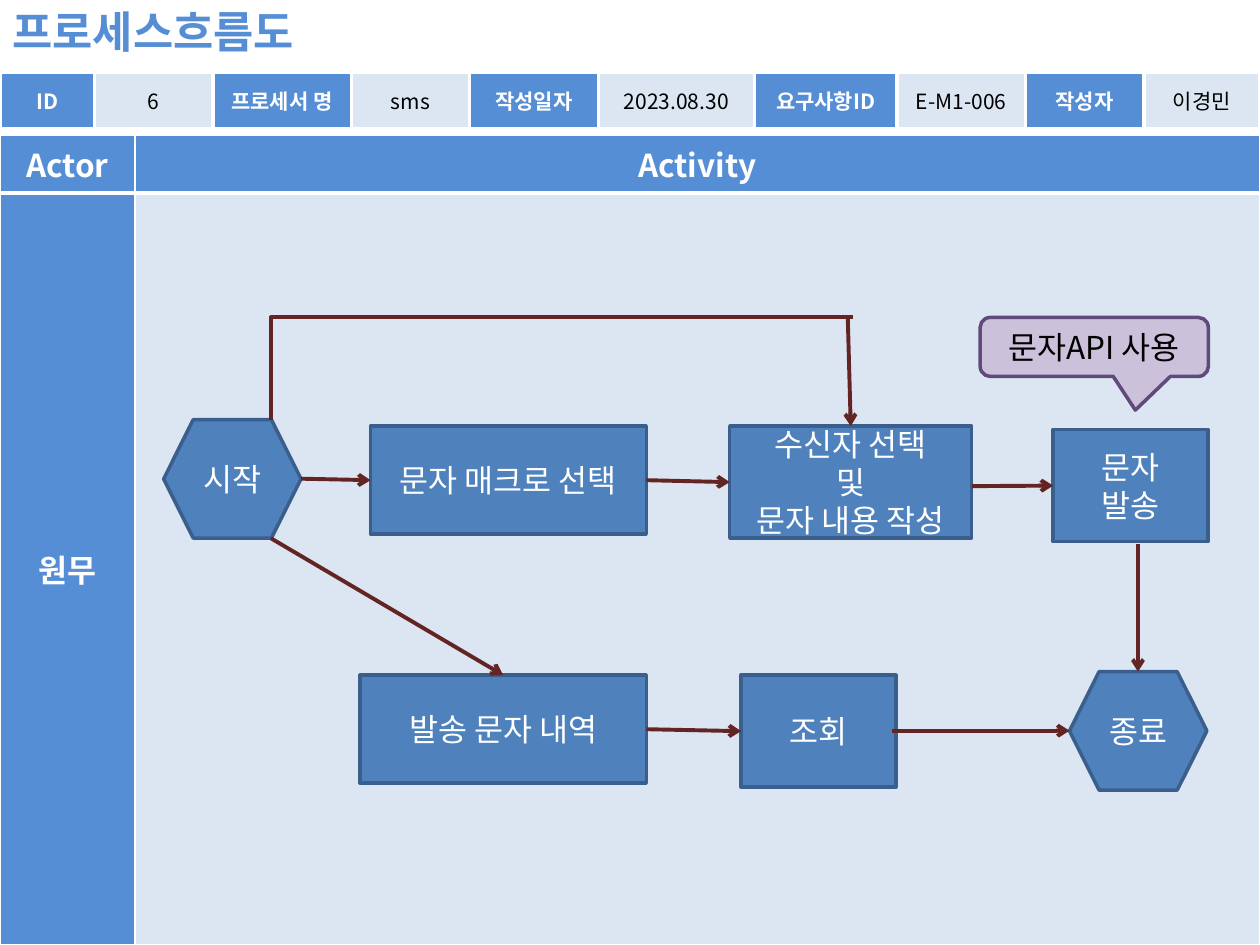
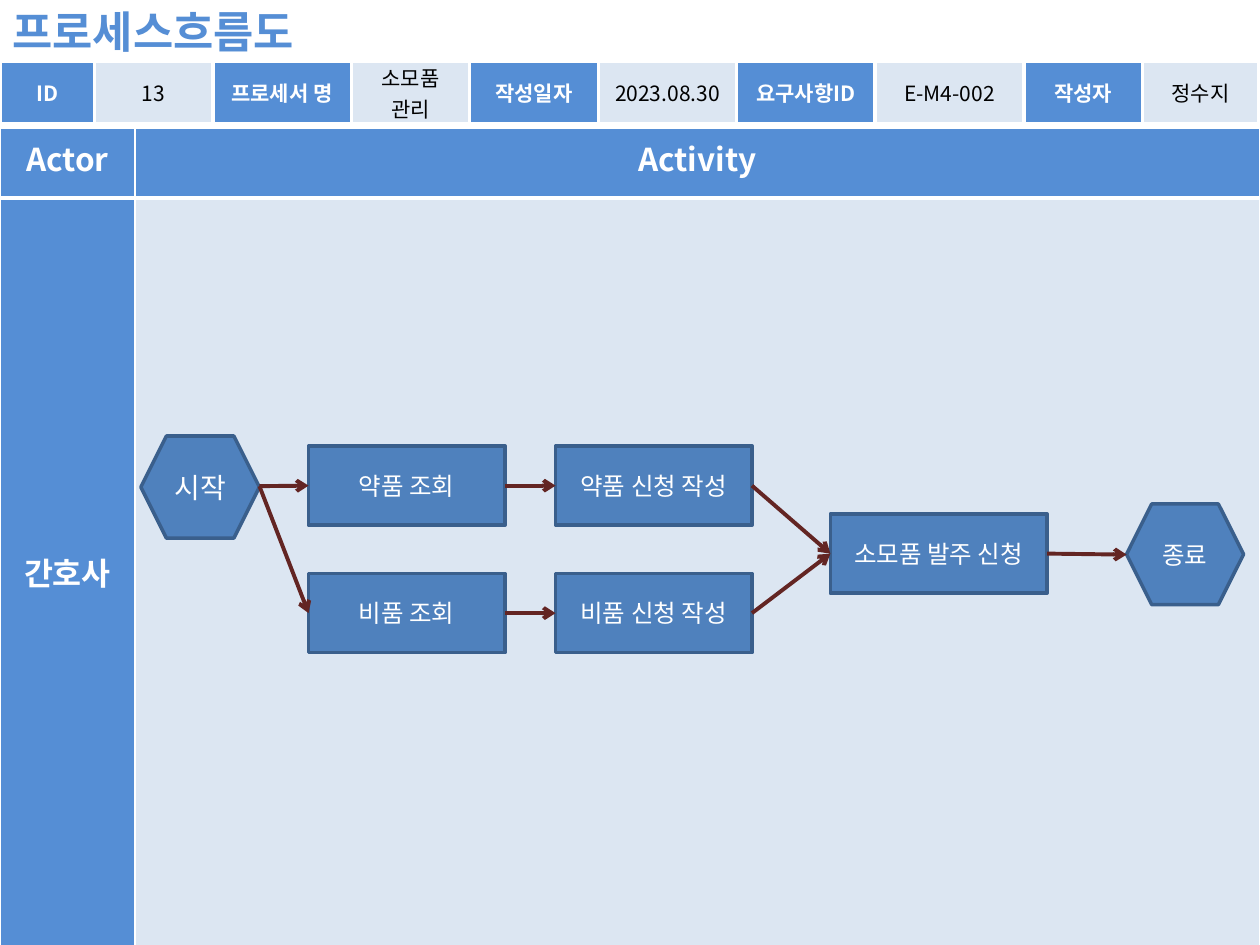
import pptx
import pptx.util
import pptx.dml.color
import pptx.enum.shapes
import pptx.enum.text
import pptx.oxml
import pptx.oxml.ns
from pptx.util import Cm

FONT = "Noto Sans CJK KR"
COLORS = {
    "head": "558ED5",
    "pale": "DCE6F2",
    "white": "FFFFFF",
    "black": "000000",
    "box": "4F81BD",
    "box_line": "3A5F8C",
    "arrow": "632523",
    "note": "CCC1DA",
    "note_line": "604A7B",
}
TOP, LEFT, BOTTOM, RIGHT = range(4)
SHAPES = pptx.enum.shapes.MSO_SHAPE
CONNECTORS = pptx.enum.shapes.MSO_CONNECTOR
ALIGN = pptx.enum.text.PP_ALIGN
ANCHOR = pptx.enum.text.MSO_ANCHOR
INFO_LABELS = ["ID", "프로세서 명", "작성일자", "요구사항ID", "작성자"]
ACTOR_COLS = [2.72, 22.68]


def rgb(name):
    return pptx.dml.color.RGBColor.from_string(COLORS[name])


def add_xml(parent, tag, **attrs):
    child = pptx.oxml.parse_xml(f"<a:{tag} {pptx.oxml.ns.nsdecls('a')}/>")
    for key, value in attrs.items():
        child.set(key, str(value))
    parent.append(child)
    return child


class FlowDeck:
    """Holds the shared style and the slide being drawn; lengths are in cm."""

    def __init__(self):
        self.prs = pptx.Presentation()
        self.prs.slide_width, self.prs.slide_height = Cm(25.4), Cm(19.05)
        self.s = None

    def new_slide(self, title):
        self.s = self.prs.slides.add_slide(self.prs.slide_layouts[5])
        sp = self.s.shapes.title
        sp.left, sp.top, sp.width, sp.height = Cm(0), Cm(-0.03), Cm(6.76), Cm(1.32)
        tf = sp.text_frame
        self.set_text(tf, title, 25, "head", bold=True, align=ALIGN.LEFT)
        tf.vertical_anchor = ANCHOR.TOP
        tf.word_wrap = False
        tf.auto_size = pptx.enum.text.MSO_AUTO_SIZE.SHAPE_TO_FIT_TEXT

    def set_text(self, tf, text, size, color, bold=False, align=ALIGN.CENTER):
        tf.text = text
        for p in tf.paragraphs:
            p.alignment = align
            p.font.size = pptx.util.Pt(size)
            p.font.bold = bold
            p.font.color.rgb = rgb(color)
            p.font.name = FONT
            add_xml(p.font._rPr, "ea", typeface=FONT)

    def table(self, top, cols, rows):
        frame = self.s.shapes.add_table(len(rows), len(cols), Cm(0), Cm(top),
                                        Cm(sum(cols)), Cm(sum(rows)))
        tbl = frame.table
        tbl.first_row = tbl.horz_banding = False
        for col, width in zip(tbl.columns, cols):
            col.width = Cm(width)
        for row, height in zip(tbl.rows, rows):
            row.height = Cm(height)
        return tbl

    def cell(self, cell, text, size, fill, color, bold, borders):
        """Fills one cell; borders are widths in points: left, right, top, bottom."""
        self.set_text(cell.text_frame, text, size, color, bold)
        tc_pr = cell._tc.get_or_add_tcPr()
        for side, width in zip("LRTB", borders):
            ln = add_xml(tc_pr, "ln" + side, w=pptx.util.Pt(width))
            add_xml(add_xml(ln, "solidFill"), "srgbClr", val=COLORS["white"])
        cell.fill.solid()
        cell.fill.fore_color.rgb = rgb(fill)

    def info_table(self, top, height, cols, values):
        tbl = self.table(top, cols, [height])
        for i, pair in enumerate(zip(INFO_LABELS, values)):
            for j, text in enumerate(pair):
                cell = tbl.cell(0, 2 * i + j)
                fill, color = [("head", "white"), ("pale", "black")][j]
                self.cell(cell, text, 12, fill, color, j == 0, [2.25] * 4)
                cell.vertical_anchor = ANCHOR.MIDDLE
                cell.margin_top = cell.margin_bottom = 0

    def actor_table(self, top, rows, actor):
        tbl = self.table(top, ACTOR_COLS, rows)
        for i, texts in enumerate([("Actor", "Activity"), (actor, "")]):
            for j, text in enumerate(texts):
                cell = tbl.cell(i, j)
                borders = (1, 1, 3, 1) if i else (1, 1, 1, 3)
                fill = "pale" if i and j else "head"
                self.cell(cell, text, 18, fill, "white", True, borders)
                cell.vertical_anchor = ANCHOR.MIDDLE if i else ANCHOR.TOP

    def shape(self, kind, text, x, y, w, h, size=18,
              fill="box", line="box_line", color="white"):
        sp = self.s.shapes.add_shape(kind, Cm(x), Cm(y), Cm(w), Cm(h))
        sp.shadow.inherit = False
        sp.fill.solid()
        sp.fill.fore_color.rgb = rgb(fill)
        sp.line.color.rgb = rgb(line)
        sp.line.width = pptx.util.Pt(2)
        sp.text_frame.vertical_anchor = ANCHOR.MIDDLE
        self.set_text(sp.text_frame, text, size, color)
        return sp

    def box(self, *args, **style):
        return self.shape(SHAPES.RECTANGLE, *args, **style)

    def terminal(self, *args, **style):
        return self.shape(SHAPES.HEXAGON, *args, **style)

    def note(self, *args):
        sp = self.shape(SHAPES.ROUNDED_RECTANGULAR_CALLOUT, *args,
                        fill="note", line="note_line", color="black")
        for i, value in enumerate([0.18, 1.07, 0.17]):
            sp.adjustments[i] = value

    def connector(self, kind, x1, y1, x2, y2):
        cxn = self.s.shapes.add_connector(kind, Cm(x1), Cm(y1), Cm(x2), Cm(y2))
        cxn.line.color.rgb = rgb("arrow")
        cxn.line.width = pptx.util.Pt(2.25)
        add_xml(cxn._element.spPr, "effectLst")
        return cxn

    def arrow(self, start, end):
        """Each end is an (x, y) point or a (box, side) pair to join."""
        points = [(0, 0) if hasattr(e[0], "text_frame") else e for e in (start, end)]
        cxn = self.connector(CONNECTORS.STRAIGHT, *points[0], *points[1])
        if hasattr(start[0], "text_frame"):
            cxn.begin_connect(*start)
        if hasattr(end[0], "text_frame"):
            cxn.end_connect(*end)
        add_xml(cxn.line._get_or_add_ln(), "tailEnd", type="arrow")

    def corner(self, x1, y1, x2, y2):
        """A one-bend line going up from the first point, then right to the second."""
        cx, cy = (x1 + x2) / 2, (y1 + y2) / 2
        dx, dy = (y1 - y2) / 2, (x2 - x1) / 2
        cxn = self.connector(CONNECTORS.ELBOW, cx + dx, cy + dy, cx - dx, cy - dy)
        sp_pr = cxn._element.spPr
        sp_pr.find(pptx.oxml.ns.qn("a:xfrm")).set("rot", "5400000")
        sp_pr.find(pptx.oxml.ns.qn("a:prstGeom")).set("prst", "bentConnector2")


def sms_slide(deck):
    deck.new_slide("프로세스흐름도")
    deck.info_table(1.45, 1.14,
                    [1.9, 2.39, 2.79, 2.39, 2.59, 3.15, 2.87, 2.59, 2.39, 2.34],
                    ["6", "sms", "2023.08.30", "E-M1-006", "이경민"])
    deck.actor_table(2.72, [1.17, 15.16], "원무")

    deck.terminal("시작", 3.3, 8.46, 2.77, 2.39)
    macro = deck.box("문자 매크로 선택", 7.47, 8.59, 5.56, 2.18)
    compose = deck.box("수신자 선택\n및\n문자 내용 작성", 14.71, 8.59, 4.88, 2.26)
    send = deck.box("문자\n발송", 21.23, 8.66, 3.12, 2.26)
    history = deck.box("발송 문자 내역", 7.26, 13.61, 5.77, 2.18)
    lookup = deck.box("조회", 14.94, 13.61, 3.12, 2.26)
    deck.terminal("종료", 21.56, 13.54, 2.77, 2.39)
    deck.note("문자API 사용", 19.76, 6.4, 4.6, 1.19)

    deck.corner(5.46, 8.46, 17.2, 6.4)
    for start, end in [
        ((6.07, 9.65), (macro, LEFT)),
        ((macro, RIGHT), (compose, LEFT)),
        ((5.46, 10.85), (history, TOP)),
        ((19.59, 9.8), (send, LEFT)),
        ((history, RIGHT), (lookup, LEFT)),
        ((17.09, 6.4), (compose, TOP)),
        ((17.98, 14.73), (21.56, 14.73)),
        ((22.94, 10.97), (22.94, 13.54)),
    ]:
        deck.arrow(start, end)


def supplies_slide(deck):
    deck.new_slide("프로세스흐름도")
    deck.actor_table(2.59, [1.4, 15.09], "간호사")
    deck.info_table(1.24, 1.26,
                    [1.9, 2.39, 2.79, 2.39, 2.59, 2.79, 2.79, 3, 2.39, 2.34],
                    ["13", "소모품\n관리", "2023.08.30", "E-M4-002", "정수지"])

    deck.terminal("시작", 2.84, 8.79, 2.39, 2.06, size=16)
    order = deck.box("소모품 발주 신청", 16.74, 10.36, 4.37, 1.6, size=14)
    deck.terminal("종료", 22.71, 10.16, 2.36, 2.03, size=14)
    for row, item in enumerate(["약품", "비품"]):
        lookup, request = [
            deck.box(f"{item} {step}", 6.22 + 4.98 * col, 8.99 + 2.57 * row,
                     3.96, 1.6, size=14)
            for col, step in enumerate(["조회", "신청 작성"])
        ]
        deck.arrow((5.23, 9.8), (lookup, LEFT))
        deck.arrow((lookup, RIGHT), (request, LEFT))
        deck.arrow((request, RIGHT), (order, LEFT))
    deck.arrow((order, RIGHT), (22.71, 11.18))


def main():
    deck = FlowDeck()
    sms_slide(deck)
    supplies_slide(deck)
    deck.prs.save("out.pptx")


if __name__ == "__main__":
    main()
